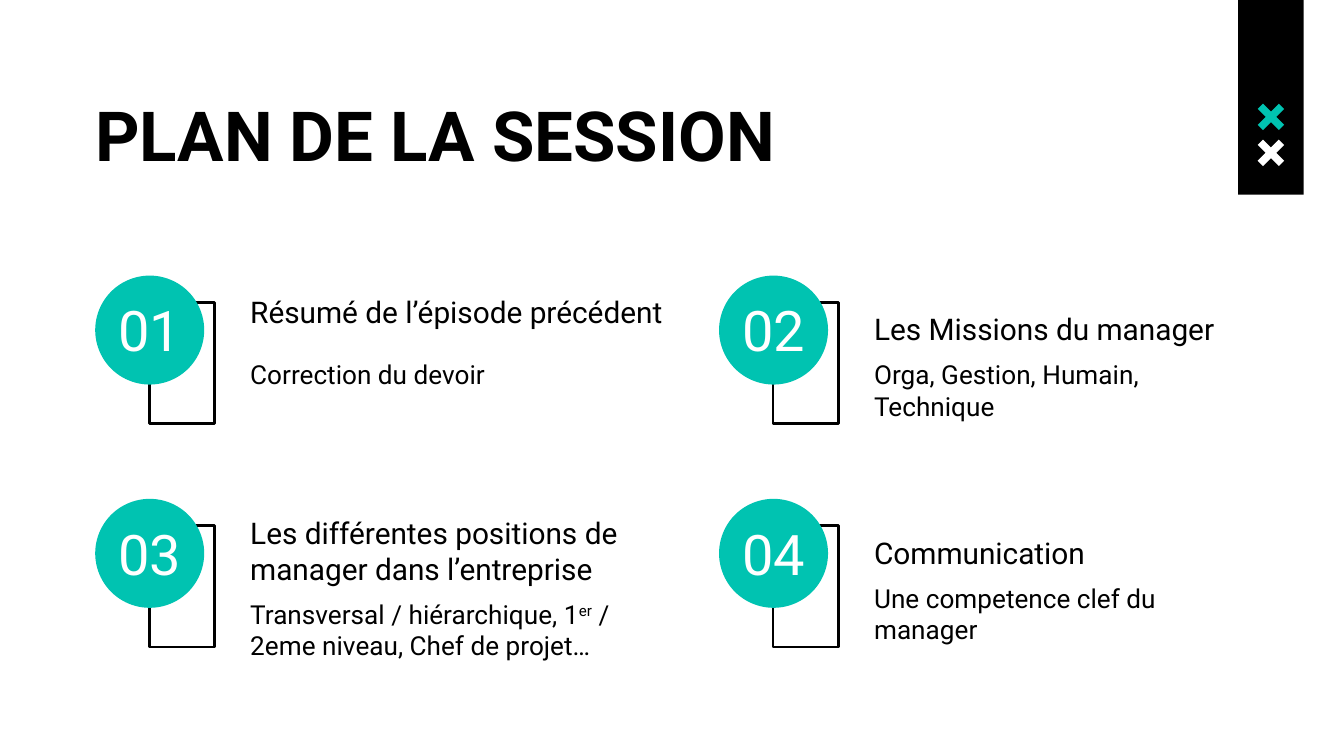
import dataclasses

import pptx
import pptx.dml.color
import pptx.enum.shapes
import pptx.enum.text
import pptx.util

Cm = pptx.util.Cm
Shape = pptx.enum.shapes.MSO_SHAPE
Align = pptx.enum.text.PP_ALIGN
Anchor = pptx.enum.text.MSO_ANCHOR

COLORS = {"ink": "000000", "teal": "00C3B1", "white": "FFFFFF"}
FONT = "Roboto"
LEFT, TOP = 1.8, 5.21  # first circle, in cm
STEP_X, STEP_Y = 11.79, 4.22
DISC = 2.06
CROSS = [(10, 0), (0, 10), (15, 25), (0, 40), (10, 50), (25, 35),
         (40, 50), (50, 40), (35, 25), (50, 10), (40, 0), (25, 15)]


@dataclasses.dataclass
class Topic:
    head: str
    body: str
    head_y: float = 0.51  # below the top of the circle
    body_y: float = 1.32
    width: float = 7.39


# Text between carets is superscript
TOPICS = [
    Topic("Résumé de l’épisode précédent", "Correction du devoir",
          head_y=0.18, width=8.69),
    Topic("Les Missions du manager", "Orga, Gestion, Humain, Technique"),
    Topic("Les différentes positions de manager dans l’entreprise",
          "Transversal / hiérarchique, 1^er^ / 2eme niveau, Chef de projet…",
          head_y=0.48, body_y=1.63, width=8.69),
    Topic("Communication", "Une competence clef du manager"),
]


def color(name: str) -> pptx.dml.color.RGBColor:
    return pptx.dml.color.RGBColor.from_string(COLORS[name])


def paint(shape, fill: str = "", line: str = "") -> None:
    shape.shadow.inherit = False
    if fill:
        shape.fill.solid()
        shape.fill.fore_color.rgb = color(fill)
    else:
        shape.fill.background()
    if line:
        shape.line.color.rgb = color(line)
        shape.line.width = pptx.util.Pt(1.5)
    else:
        shape.line.fill.background()


def add_shape(slide, kind, x: float, y: float, w: float, h: float,
              fill: str = "", line: str = "") -> None:
    shape = slide.shapes.add_shape(kind, Cm(x), Cm(y), Cm(w), Cm(h))
    paint(shape, fill, line)


def add_cross(slide, x: float, y: float, fill: str) -> None:
    start, *rest = CROSS
    pen = slide.shapes.build_freeform(*start, scale=Cm(0.01))
    pen.add_line_segments(rest, close=True)
    paint(pen.convert_to_shape(Cm(x), Cm(y)), fill)


def add_text(slide, text: str, x: float, y: float, w: float, h: float, *,
             size: float, ink: str = "ink", bold: bool = False,
             align=Align.LEFT, anchor=Anchor.TOP) -> None:
    frame = slide.shapes.add_textbox(Cm(x), Cm(y), Cm(w), Cm(h)).text_frame
    frame.word_wrap = True
    frame.vertical_anchor = anchor
    frame.margin_left = frame.margin_right = Cm(0.25)
    frame.margin_top = frame.margin_bottom = Cm(0.25)
    para = frame.paragraphs[0]
    para.alignment = align
    for i, part in enumerate(text.split("^")):
        run = para.add_run()
        run.text = part
        run.font.name = FONT
        run.font.size = pptx.util.Pt(size)
        run.font.bold = bold
        run.font.color.rgb = color(ink)
        if i % 2:
            run.font._element.set("baseline", "30000")


def add_topic(slide, index: int, topic: Topic) -> None:
    row, col = divmod(index, 2)
    x, y = LEFT + col * STEP_X, TOP + row * STEP_Y
    add_shape(slide, Shape.RECTANGLE, x + 1.02, y + 0.51, 1.24, 2.29,
              line="ink")
    add_shape(slide, Shape.OVAL, x, y, DISC, DISC, fill="teal")
    add_text(slide, f"{index + 1:02}", x, y + 0.26, DISC, 1.52, size=30,
             ink="white", align=Align.CENTER, anchor=Anchor.MIDDLE)
    add_text(slide, topic.head, x + 2.68, y + topic.head_y, topic.width, 1,
             size=16, anchor=Anchor.MIDDLE)
    add_text(slide, topic.body, x + 2.68, y + topic.body_y, 7.39, 1.78,
             size=14)


def main() -> None:
    deck = pptx.Presentation()
    deck.slide_width, deck.slide_height = Cm(25.4), Cm(14.29)
    slide = deck.slides.add_slide(deck.slide_layouts[6])

    # Corner band with two crosses
    add_shape(slide, Shape.RECTANGLE, 23.4, 0, 1.24, 3.68, fill="ink")
    add_cross(slide, 23.77, 1.96, "teal")
    add_cross(slide, 23.77, 2.64, "white")

    # Title and the grid of topics
    add_text(slide, "PLAN DE LA SESSION", 1.55, 1.5, 22.5, 2, size=37,
             bold=True)
    for index, topic in enumerate(TOPICS):
        add_topic(slide, index, topic)

    deck.save("out.pptx")


if __name__ == "__main__":
    main()
